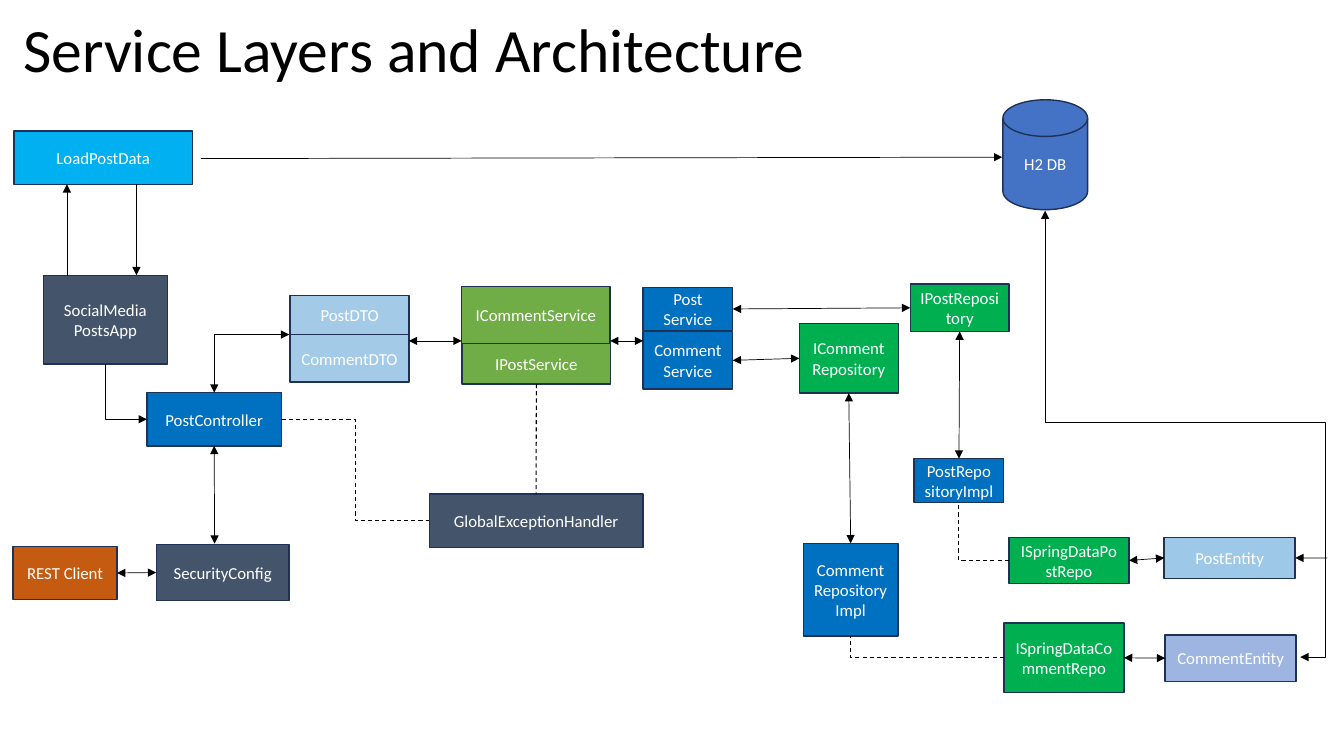
from lxml import etree
from pptx import Presentation
from pptx.dml.color import RGBColor
from pptx.enum.dml import MSO_LINE
from pptx.enum.shapes import MSO_CONNECTOR, MSO_SHAPE
from pptx.enum.text import MSO_ANCHOR, PP_ALIGN
from pptx.oxml.ns import qn
from pptx.util import Pt

RECT, DISK = MSO_SHAPE.RECTANGLE, MSO_SHAPE.FLOWCHART_MAGNETIC_DISK
STRAIGHT, ELBOW = MSO_CONNECTOR.STRAIGHT, MSO_CONNECTOR.ELBOW
TOP, LEFT, BOTTOM, RIGHT = range(4)
BLUE, GREEN, LIME, SLATE, ROYAL = "0070C0", "00B050", "70AD47", "44546A", "4472C4"
START, END, BOTH, NO_ARROW = ("headEnd",), ("tailEnd",), ("headEnd", "tailEnd"), ()


def rgb(code):
    return RGBColor.from_string(code)


def link(start, end, arrows, geometry="line", adjustments=()):
    """Join two ends, each a (box, side) pair or an (x, y) point; dashed without arrows."""
    connector = slide.shapes.add_connector(
        STRAIGHT if geometry == "line" else ELBOW, 0, 0, 0, 0)
    if start[0] in boxes:
        connector.begin_connect(boxes[start[0]], start[1])
    else:
        connector.begin_x, connector.begin_y = Pt(start[0]), Pt(start[1])
    if end[0] in boxes:
        connector.end_connect(boxes[end[0]], end[1])
    else:
        connector.end_x, connector.end_y = Pt(end[0]), Pt(end[1])
    connector.line.color.rgb = rgb("000000")
    connector.line.width = Pt(0.5 if arrows else 0.75)
    if not arrows:
        connector.line.dash_style = MSO_LINE.DASH
    properties = connector._element.spPr
    outline = properties.find(qn("a:ln"))
    for arrow in arrows:
        etree.SubElement(outline, qn("a:" + arrow), type="triangle")
    etree.SubElement(properties, qn("a:effectLst"))
    preset = properties.find(qn("a:prstGeom"))
    preset.set("prst", geometry)
    for number, value in enumerate(adjustments, 1):
        etree.SubElement(preset.find(qn("a:avLst")), qn("a:gd"),
                         name=f"adj{number}", fmla=f"val {value}")


deck = Presentation()
deck.slide_width, deck.slide_height = Pt(960), Pt(540)
slide = deck.slides.add_slide(deck.slide_layouts[5])

title = slide.shapes.title
title.left, title.top, title.width, title.height = Pt(9.4), Pt(1.4), Pt(828), Pt(72.7)
title.text_frame.text = "Service Layers and Architecture"
title.text_frame.vertical_anchor = MSO_ANCHOR.MIDDLE
heading = title.text_frame.paragraphs[0]
heading.alignment = PP_ALIGN.LEFT
heading.line_spacing = 0.9
heading.font.size = Pt(44)
heading.font.name = "Calibri"
heading.font.color.rgb = rgb("000000")

# Label, left, top, width, height, fill, opacity in percent
components = [
    ("PostController", 105, 280.5, 96, 38, BLUE, 100),
    ("Post Service", 459.4, 205.2, 64, 31, BLUE, 100),
    ("Comment Service", 459.4, 236.9, 64, 41, BLUE, 100),
    ("PostDTO", 207.2, 211, 85, 28, BLUE, 36),
    ("CommentDTO", 207.2, 239, 85, 34, BLUE, 36),
    ("SocialMedia\nPostsApp", 31, 196.6, 88.6, 63.4, SLATE, 100),
    ("LoadPostData", 10, 93.6, 127.5, 38, "00B0F0", 100),
    ("SecurityConfig", 111.6, 388.8, 95, 40.3, SLATE, 100),
    ("PostEntity", 831.6, 383.8, 93.6, 29.5, BLUE, 38),
    ("CommentEntity", 832.3, 453.6, 93.6, 33.1, ROYAL, 52),
    ("ISpringDataCommentRepo", 717.1, 445, 85.7, 49.7, GREEN, 100),
    ("ISpringDataPostRepo", 720.7, 383.8, 85.7, 33.1, GREEN, 100),
    ("H2 DB", 716.4, 71.3, 60.5, 78.5, ROYAL, 100),
    ("REST Client", 9.4, 390.2, 74.2, 38.2, "C55A11", 100),
    ("GlobalExceptionHandler", 306.7, 352.8, 152.6, 38.2, SLATE, 100),
    ("IPostService", 330.1, 244.8, 106, 29.5, LIME, 100),
    ("ICommentService", 329.8, 204.5, 106, 41, LIME, 100),
    ("IComment\vRepository", 571, 231.1, 70.6, 49.7, GREEN, 100),
    ("IPostRepository", 650.2, 203, 70.6, 33.8, GREEN, 100),
    ("PostRepositoryImpl", 653, 327.6, 64, 31.2, BLUE, 100),
    ("Comment\vRepository\vImpl", 573.8, 388.1, 67.7, 66.3, BLUE, 100),
]
boxes = {}
for label, left, top, width, height, fill, opacity in components:
    box = slide.shapes.add_shape(DISK if label == "H2 DB" else RECT,
                                 Pt(left), Pt(top), Pt(width), Pt(height))
    box.shadow.inherit = False
    box.fill.solid()
    box.fill.fore_color.rgb = rgb(fill)
    if opacity < 100:
        color = box._element.spPr.find(qn("a:solidFill"))[0]
        etree.SubElement(color, qn("a:alpha"), val=str(opacity * 1000))
    box.line.color.rgb = rgb("1E3256")
    box.line.width = Pt(1)
    box.text_frame.text = label
    box.text_frame.word_wrap = True
    box.text_frame.vertical_anchor = MSO_ANCHOR.MIDDLE
    for paragraph in box.text_frame.paragraphs:
        paragraph.alignment = PP_ALIGN.CENTER
        paragraph.font.size = Pt(12)
        paragraph.font.name = "Calibri"
        paragraph.font.color.rgb = rgb("FFFFFF")
    boxes["".join(label.split())] = box

# Start-up and database loading
link((47.8, 197.3), (47.8, 131.6), END)
link((97.5, 131.6), (97.5, 196.6), END)
link((143.5, 113.3), (716, 112.3), END)
link(("PostController", LEFT), ("SocialMediaPostsApp", BOTTOM), START, "bentConnector2")

# Requests, controller and services
link(("RESTClient", RIGHT), ("SecurityConfig", LEFT), BOTH)
link((153.3, 388.4), ("PostController", BOTTOM), BOTH)
link((206.6, 239), ("PostController", TOP), BOTH, "bentConnector2")
link((292, 243.5), (329.8, 243.5), BOTH)
link((435.8, 243.5), (459.4, 243.5), BOTH)
link(("PostController", RIGHT), ("GlobalExceptionHandler", LEFT), NO_ARROW, "bentConnector3")
link(("IPostService", BOTTOM), ("GlobalExceptionHandler", TOP), NO_ARROW)

# Repositories and entities
link(("PostService", RIGHT), ("IPostRepository", LEFT), BOTH)
link(("CommentService", RIGHT), ("ICommentRepository", LEFT), BOTH)
link(("IPostRepository", BOTTOM), ("PostRepositoryImpl", TOP), BOTH)
link(("ICommentRepository", BOTTOM), ("CommentRepositoryImpl", TOP), BOTH)
link(("ISpringDataPostRepo", LEFT), ("PostRepositoryImpl", BOTTOM), NO_ARROW, "bentConnector2")
link(("ISpringDataCommentRepo", LEFT), ("CommentRepositoryImpl", BOTTOM), NO_ARROW,
     "bentConnector2")
link(("ISpringDataPostRepo", RIGHT), ("PostEntity", LEFT), BOTH)
link(("ISpringDataCommentRepo", RIGHT), ("CommentEntity", LEFT), BOTH)
link((948.2, 398.5), ("PostEntity", RIGHT), END)
link((928.8, 469.4), (746.6, 150.5), BOTH, "bentConnector4", (-9900, 52600))

deck.save("out.pptx")
